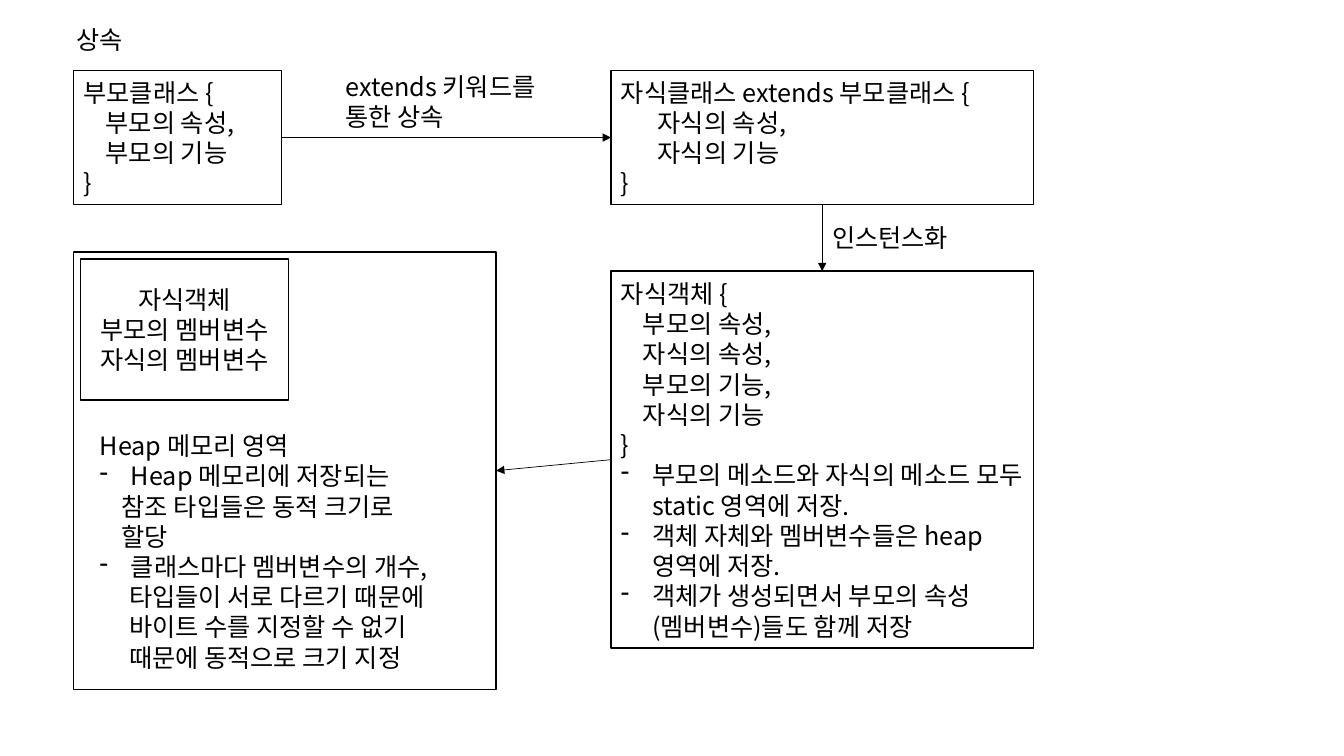
from lxml.etree import SubElement
from pptx import Presentation
from pptx.dml.color import RGBColor
from pptx.enum.shapes import MSO_CONNECTOR, MSO_SHAPE
from pptx.enum.text import MSO_ANCHOR, MSO_AUTO_SIZE, PP_ALIGN
from pptx.oxml.ns import qn
from pptx.util import Inches, Pt

BLACK = RGBColor(0, 0, 0)
FACE = "Noto Sans CJK KR"
FONT = {"name": FACE, "size": Pt(18)}
LABEL = {"word_wrap": False, "auto_size": MSO_AUTO_SIZE.SHAPE_TO_FIT_TEXT}
BODY = {"word_wrap": True, "vertical_anchor": MSO_ANCHOR.MIDDLE}
HANG = Inches(0.31)
SPACE = Inches(0.073)  # one step of code indent

deck = Presentation()
deck.slide_width, deck.slide_height = Inches(13.33), Inches(7.5)
slide = deck.slides.add_slide(deck.slide_layouts[6])
shapes = slide.shapes
COL, ROW = deck.slide_width / 100, deck.slide_height / 100


def place(left, top, width, height):
    """Turn columns and rows of a 100 by 100 grid into lengths."""
    return [round(n * unit) for n, unit in
            zip((left, top, width, height), (COL, ROW, COL, ROW))]


def write(frame, lines, form, align):
    """Fill a frame; each line is (indent steps or "-", text)."""
    for key, value in form.items():
        setattr(frame, key, value)
    for i, (mark, text) in enumerate(lines):
        para = frame.add_paragraph() if i else frame.paragraphs[0]
        para.alignment = align
        run = para.add_run()
        run.text = text
        for key, value in FONT.items():
            setattr(run.font, key, value)
        run.font.color.rgb = BLACK
        SubElement(run.font._element, qn("a:ea"), typeface=FACE)
        props = para._p.get_or_add_pPr()
        if mark == "-":
            props.set("marL", str(HANG))
            props.set("indent", str(-HANG))
            SubElement(props, qn("a:buChar"), char="-")
        elif mark:
            props.set("marL", str(round(mark * SPACE)))


SIDE, WIDE, SLIM = 5.48, 31.43, 15.45
RIGHT, TOP, TALL = 45.46, 9.33, 17.73
MID = RIGHT + WIDE / 2

boxes = {
    "parent": ((SIDE, TOP, SLIM, TALL), PP_ALIGN.LEFT, [
        (0, "부모클래스 {"), (3, "부모의 속성,"), (3, "부모의 기능"), (0, "}")]),
    "child": ((RIGHT, TOP, WIDE, TALL), PP_ALIGN.LEFT, [
        (0, "자식클래스 extends 부모클래스 {"),
        (5, "자식의 속성,"), (5, "자식의 기능"), (0, "}")]),
    "object": ((RIGHT, 35.87, WIDE, 49.87), PP_ALIGN.LEFT, [
        (0, "자식객체 {"),
        (3, "부모의 속성,"), (3, "자식의 속성,"),
        (3, "부모의 기능,"), (3, "자식의 기능"), (0, "}"),
        ("-", "부모의 메소드와 자식의 메소드 모두 static 영역에 저장."),
        ("-", "객체 자체와 멤버변수들은 heap 영역에 저장."),
        ("-", "객체가 생성되면서 부모의 속성(멤버변수)들도 함께 저장")]),
    "heap": ((SIDE, 33.33, WIDE, 57.87), PP_ALIGN.LEFT, []),
    "member": ((6, 34.27, SLIM, 18.67), PP_ALIGN.CENTER, [
        (0, "자식객체"), (0, "부모의 멤버변수"), (0, "자식의 멤버변수")]),
}
made = {}
for name, (spot, align, lines) in boxes.items():
    box = made[name] = shapes.add_shape(MSO_SHAPE.RECTANGLE, *place(*spot))
    box.shadow.inherit = False
    box.fill.background()
    box.line.color.rgb = BLACK
    box.line.width = Pt(1)
    write(box.text_frame, lines, BODY, align)

labels = [
    ((4.95, 2.53, 5.33, 5.33), [(0, "상속")]),
    ((24.98, 8.8, 16.35, 9.47), [(0, "extends 키워드를"), (0, "통한 상속")]),
    ((MID, 28.8, 10.95, 5.33), [(0, "인스턴스화")]),
    ((6.68, 56.27, 28.96, 33.6), [
        (0, "Heap 메모리 영역"),
        ("-", "Heap 메모리에 저장되는"),
        (3, "참조 타입들은 동적 크기로"), (3, "할당"),
        ("-", "클래스마다 멤버변수의 개수,"),
        (4, "타입들이 서로 다르기 때문에"),
        (4, "바이트 수를 지정할 수 없기"),
        (4, "때문에 동적으로 크기 지정")]),
]
for spot, lines in labels:
    note = shapes.add_textbox(*place(*spot))
    write(note.text_frame, lines, LABEL, PP_ALIGN.LEFT)

links = [("parent", 3, "child", 1), ("child", 2, "object", 0),
         ("object", 1, "heap", 3)]
for start, exit, end, entry in links:
    link = shapes.add_connector(MSO_CONNECTOR.STRAIGHT, 0, 0, 0, 0)
    link.begin_connect(made[start], exit)
    link.end_connect(made[end], entry)
    link.line.color.rgb = BLACK
    link.line.width = Pt(0.5)
    SubElement(link.line._get_or_add_ln(), qn("a:tailEnd"), type="triangle")
    SubElement(link._element.spPr, qn("a:effectLst"))

deck.save("out.pptx")
